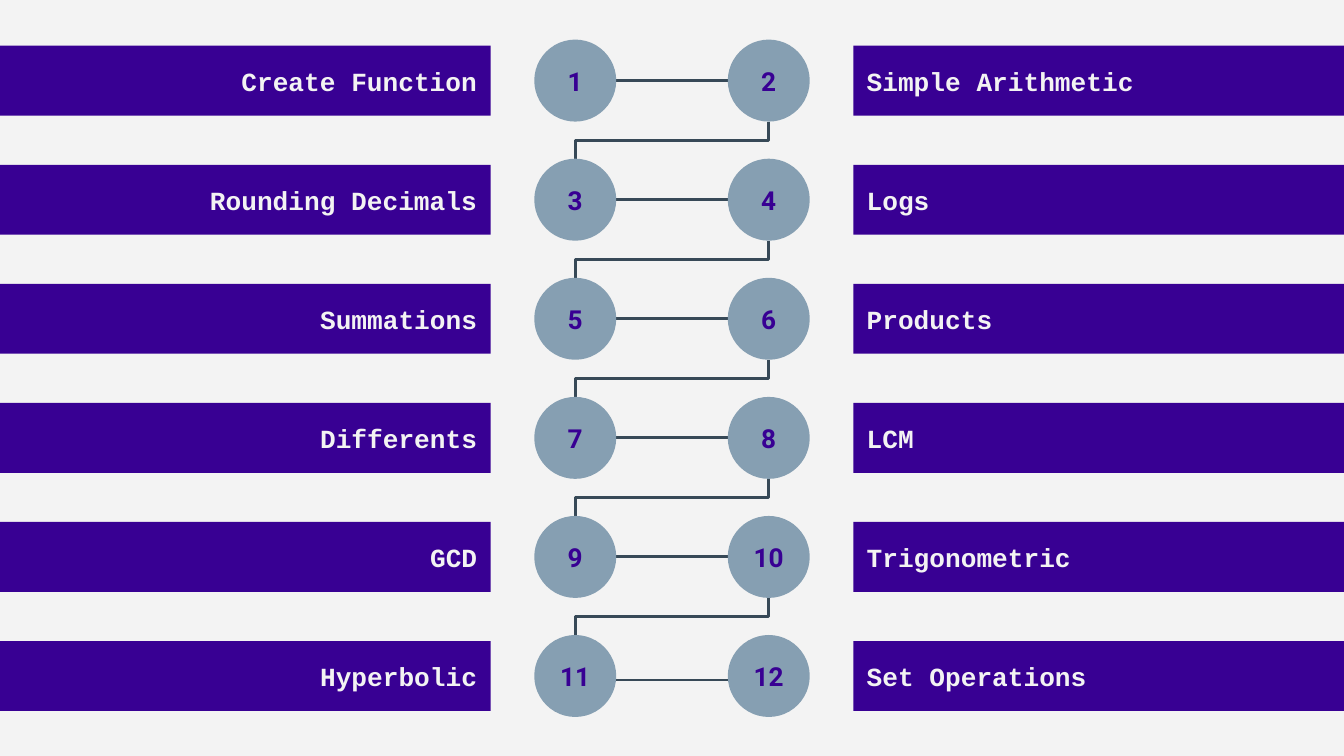
from dataclasses import dataclass
from pptx import Presentation
from pptx.dml.color import RGBColor
from pptx.enum.shapes import MSO_CONNECTOR, MSO_SHAPE
from pptx.enum.text import MSO_ANCHOR, PP_ALIGN
from pptx.oxml.ns import qn
from pptx.util import Inches, Pt


@dataclass(frozen=True)
class Theme:
    background: str = "F3F3F3"
    bar: str = "380093"
    node: str = "869FB2"
    link: str = "374957"
    label_font: str = "Courier New"
    number_font: str = "Roboto"
    text_size: int = 14
    link_width: float = 1.5


class Deck:
    def __init__(self, prs, theme):
        self.theme = theme
        self.s = prs.slides.add_slide(prs.slide_layouts[6])
        fill = self.s.background.fill
        fill.solid()
        fill.fore_color.rgb = RGBColor.from_string(theme.background)

    def box(self, kind, x, y, w, h, fill, text, font, color, align):
        sp = self.s.shapes.add_shape(kind, Inches(x), Inches(y), Inches(w), Inches(h))
        sp.shadow.inherit = False
        sp.fill.solid()
        sp.fill.fore_color.rgb = RGBColor.from_string(fill)
        sp.line.fill.background()
        tf = sp.text_frame
        tf.word_wrap = True
        tf.vertical_anchor = MSO_ANCHOR.MIDDLE
        tf.margin_left = tf.margin_right = tf.margin_top = tf.margin_bottom = Inches(0.1)
        p = tf.paragraphs[0]
        p.alignment = align
        r = p.add_run()
        r.text = text
        r.font.name = font
        r.font.size = Pt(self.theme.text_size)
        r.font.bold = True
        r.font.color.rgb = RGBColor.from_string(color)

    def bar(self, x, y, w, h, text, align):
        t = self.theme
        self.box(MSO_SHAPE.RECTANGLE, x, y, w, h, t.bar, text,
                 t.label_font, t.background, align)

    def node(self, cx, cy, size, number):
        t = self.theme
        self.box(MSO_SHAPE.FLOWCHART_CONNECTOR, cx - size / 2, cy - size / 2, size, size,
                 t.node, str(number), t.number_font, t.bar, PP_ALIGN.CENTER)

    def link(self, x1, y1, x2, y2):
        c = self.s.shapes.add_connector(
            MSO_CONNECTOR.ELBOW, Inches(x1), Inches(y1), Inches(x2), Inches(y2))
        c.line.color.rgb = RGBColor.from_string(self.theme.link)
        c.line.width = Pt(self.theme.link_width)
        spPr = c._element.spPr
        spPr.append(spPr.makeelement(qn("a:effectLst"), {}))
        return c

    def step_down(self, x1, y1, x2, y2):
        cx, cy = (x1 + x2) / 2, (y1 + y2) / 2
        drop, run = y2 - y1, x1 - x2
        c = self.link(cx - drop / 2, cy - run / 2, cx + drop / 2, cy + run / 2)
        c._element.spPr.find(qn("a:xfrm")).set("rot", "5400000")


ROWS = [
    ("Create Function", "Simple Arithmetic"),
    ("Rounding Decimals", "Logs"),
    ("Summations", "Products"),
    ("Differents", "LCM"),
    ("GCD", "Trigonometric"),
    ("Hyperbolic", "Set Operations"),
]
WIDTH = 10
HEIGHT = WIDTH * 9 / 16
BAR_W, BAR_H = 3.65, 0.52
NODE = 0.61
LEFT_X, RIGHT_X = 4.28, 5.72
FIRST_Y, LAST_Y = 0.6, 5.03
LAST_LINK_Y = 5.06
PITCH = (LAST_Y - FIRST_Y) / (len(ROWS) - 1)

prs = Presentation()
prs.slide_width, prs.slide_height = Inches(WIDTH), Inches(HEIGHT)
deck = Deck(prs, Theme())

for i, (left, right) in enumerate(ROWS):
    y = FIRST_Y + i * PITCH
    is_last = i == len(ROWS) - 1
    link_y = LAST_LINK_Y if is_last else y
    deck.bar(0, y - BAR_H / 2, BAR_W, BAR_H, left, PP_ALIGN.RIGHT)
    deck.bar(WIDTH - BAR_W, y - BAR_H / 2, BAR_W, BAR_H, right, PP_ALIGN.LEFT)
    deck.link(LEFT_X + NODE / 2, link_y, RIGHT_X - NODE / 2, link_y)
    if not is_last:
        deck.step_down(RIGHT_X, y + NODE / 2, LEFT_X, y + PITCH - NODE / 2)
    deck.node(LEFT_X, y, NODE, 2 * i + 1)
    deck.node(RIGHT_X, y, NODE, 2 * i + 2)

prs.save("out.pptx")
